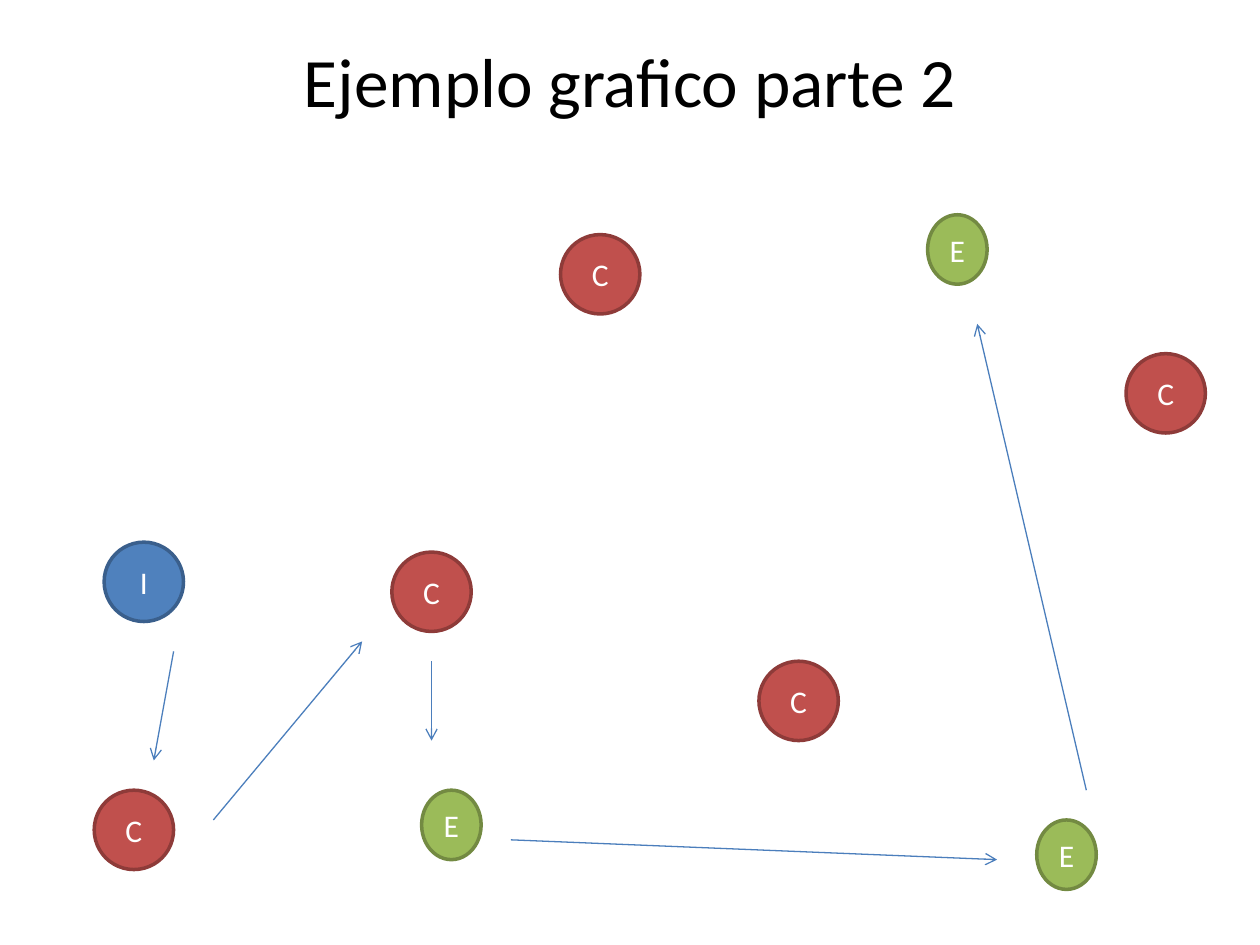
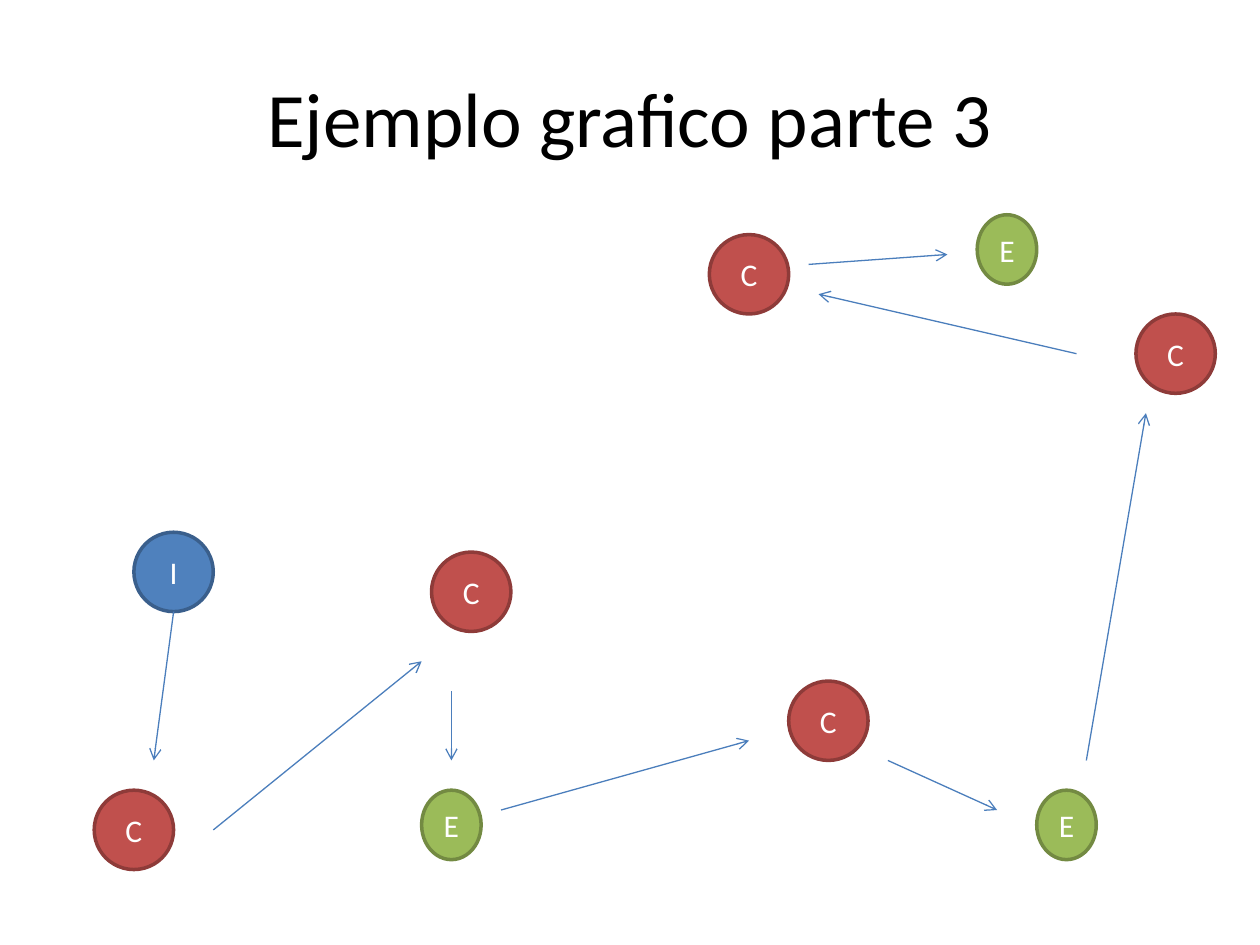
from pptx import Presentation
from pptx.dml.color import RGBColor as RGB
from pptx.enum.shapes import MSO_CONNECTOR as Conn, MSO_SHAPE as Shape
from pptx.enum.text import MSO_ANCHOR as Anchor, PP_ALIGN as Align
from pptx.oxml.ns import qn
from pptx.util import Cm, Pt
from lxml.etree import SubElement

FONT = "Calibri"
BLACK = RGB(0x00, 0x00, 0x00)
WHITE = RGB(0xFF, 0xFF, 0xFF)
ARROW = RGB(0x4B, 0x7E, 0xBC)

# Node letter: width and height in cm, fill, outline
KINDS = {
    "I": (1.6, 1.6, RGB(0x4F, 0x81, 0xBD), RGB(0x3A, 0x5F, 0x8C)),
    "E": (1.2, 1.4, RGB(0x9B, 0xBB, 0x59), RGB(0x73, 0x8A, 0x42)),
    "C": (1.6, 1.6, RGB(0xC0, 0x50, 0x4D), RGB(0x8E, 0x3B, 0x39)),
}

# Nodes give left and top, arrows give start and end, all in cm
PARTS = [
    {
        "title": "Ejemplo grafico parte 2",
        "size": 39.6,
        "frame": {"vertical_anchor": Anchor.TOP, "margin_top": 0},
        "nodes": {
            "I": [(2.1, 10.93)],
            "E": [(8.5, 15.93), (20.9, 16.53), (18.7, 4.33)],
            "C": [(1.9, 15.93), (7.9, 11.13), (15.3, 13.33),
                  (22.7, 7.13), (11.3, 4.73)],
        },
        "arrows": [
            (3.5, 13.13, 3.1, 15.33),
            (4.3, 16.53, 7.3, 12.93),
            (8.7, 13.33, 8.7, 14.93),
            (10.3, 16.93, 20.1, 17.33),
            (21.9, 15.93, 19.7, 6.53),
        ],
    },
    {
        "title": "Ejemplo grafico parte 3",
        "size": 44,
        "frame": {"vertical_anchor": Anchor.MIDDLE},
        "nodes": {
            "I": [(2.7, 10.73)],
            "E": [(8.5, 15.93), (20.9, 15.93), (19.7, 4.33)],
            "C": [(1.9, 15.93), (8.7, 11.13), (15.9, 13.73),
                  (22.9, 6.33), (14.3, 4.73)],
        },
        "arrows": [
            (3.5, 12.33, 3.1, 15.33),
            (4.3, 16.73, 8.5, 13.33),
            (9.1, 13.93, 9.1, 15.33),
            (10.1, 16.33, 15.1, 14.93),
            (17.9, 15.33, 20.1, 16.33),
            (21.9, 15.33, 23.1, 8.33),
            (21.7, 7.13, 16.5, 5.93),
            (16.3, 5.33, 19.1, 5.13),
        ],
    },
]


def set_all(item, values):
    for name, value in values.items():
        setattr(item, name, value)


def write(shape, text, size, color, frame):
    """Put one centred line of text in a shape."""
    set_all(shape.text_frame, frame)
    para = shape.text_frame.paragraphs[0]
    para.alignment = Align.CENTER
    run = para.add_run()
    run.text = text
    set_all(run.font, {"name": FONT, "size": Pt(size)})
    run.font.color.rgb = color


def add_title(slide, part):
    title = slide.shapes.title
    set_all(title, {"left": Cm(1.27), "top": Cm(0.76),
                    "width": Cm(22.86), "height": Cm(3.18)})
    write(title, part["title"], part["size"], BLACK, part["frame"])


def add_node(slide, kind, left, top):
    width, height, fill, edge = KINDS[kind]
    node = slide.shapes.add_shape(
        Shape.OVAL, Cm(left), Cm(top), Cm(width), Cm(height))
    node.shadow.inherit = False
    node.fill.solid()
    node.fill.fore_color.rgb = fill
    node.line.color.rgb = edge
    node.line.width = Pt(2)
    write(node, kind, 18, WHITE, {"vertical_anchor": Anchor.MIDDLE})


def add_arrow(slide, ends):
    arrow = slide.shapes.add_connector(Conn.STRAIGHT, *map(Cm, ends))
    arrow.line.color.rgb = ARROW
    arrow.line.width = Pt(0.75)
    SubElement(arrow.line._get_or_add_ln(), qn("a:tailEnd"), type="arrow")
    SubElement(arrow._element.spPr, qn("a:effectLst"))


def main():
    deck = Presentation()
    set_all(deck, {"slide_width": Cm(25.4), "slide_height": Cm(19.05)})
    for part in PARTS:
        slide = deck.slides.add_slide(deck.slide_layouts[5])
        add_title(slide, part)
        for kind, spots in part["nodes"].items():
            for left, top in spots:
                add_node(slide, kind, left, top)
        for ends in part["arrows"]:
            add_arrow(slide, ends)
    deck.save("out.pptx")


if __name__ == "__main__":
    main()
